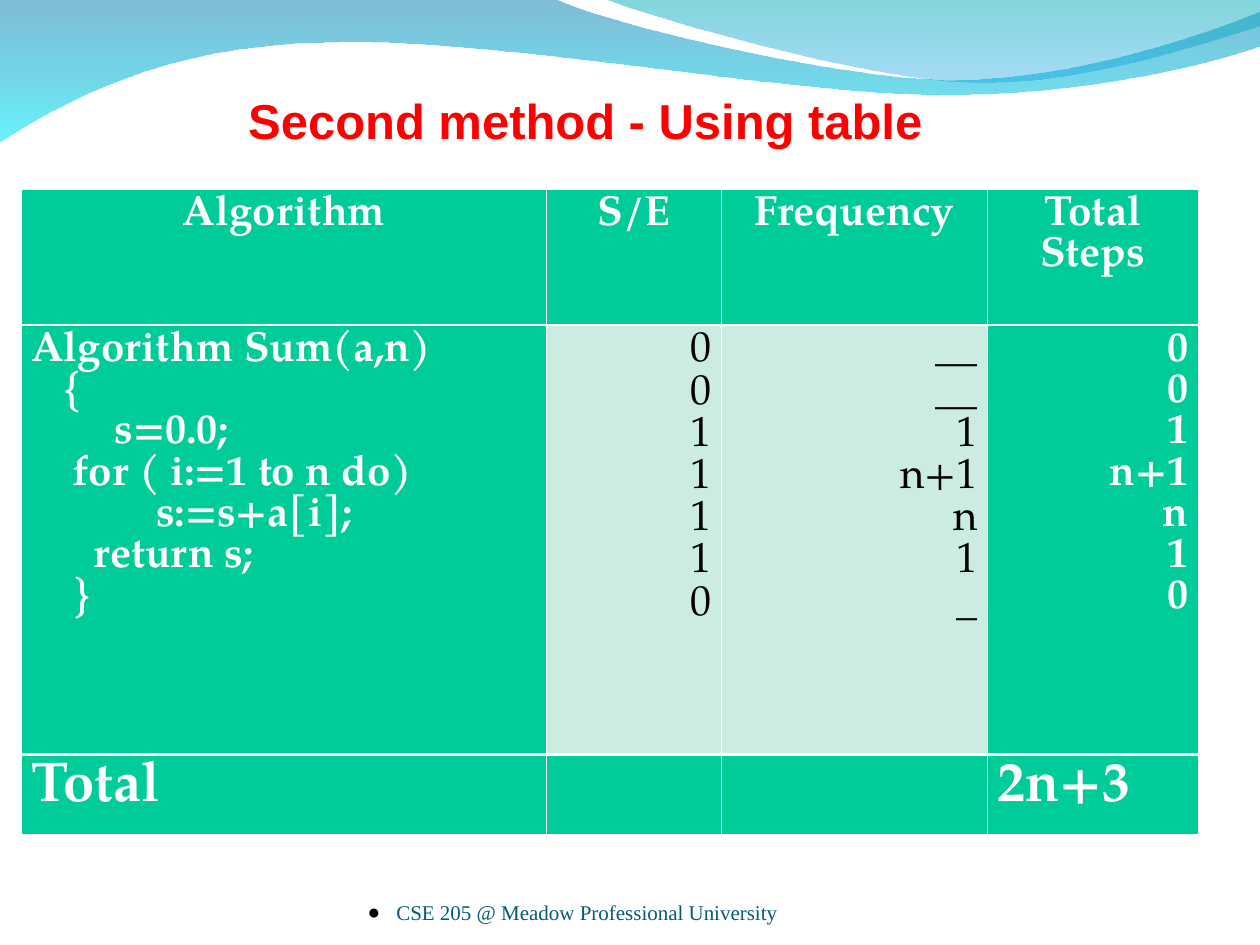
from lxml.etree import SubElement
from pptx import Presentation
from pptx.dml.color import RGBColor
from pptx.enum.text import MSO_ANCHOR, MSO_AUTO_SIZE, PP_ALIGN
from pptx.oxml import parse_xml
from pptx.oxml.ns import nsdecls, qn
from pptx.util import Cm, Pt

WHITE = RGBColor(0xFF, 0xFF, 0xFF)
BLACK = RGBColor(0, 0, 0)
RED = RGBColor(0xFF, 0, 0)
GREEN = RGBColor(0x00, 0xCC, 0x99)
MINT = RGBColor(0xCB, 0xEC, 0xDE)
TEAL = RGBColor(0x04, 0x5C, 0x75)
DEEP_BLUE = RGBColor(0x00, 0x79, 0xAF)
CYAN = RGBColor(0x00, 0xEB, 0xF8)
SEA = RGBColor(0x00, 0xAD, 0xB6)
SKY = RGBColor(0x00, 0x9B, 0xE5)

TITLE = "Second method - Using table"
FOOTER = "CSE 205 @ Meadow Professional University"
HEADERS = ["Algorithm", "S/E", "Frequency", "Total Steps"]
STEPS = [
    (0, "Algorithm Sum(a,n)", "0", "__", "0"),
    (3, "{", "0", "__", "0"),
    (8, "s=0.0;", "1", "1", "1"),
    (4, "for ( i:=1 to n do)", "1", "n+1", "n+1"),
    (12, "s:=s+a[i];", "1", "n", "n"),
    (6, "return s;", "1", "1", "1"),
    (4, "}", "0", "_", "0"),
]
TOTALS = ["Total", "", "", "2n+3"]
COLUMN_WIDTHS = [10.59, 3.52, 5.37, 4.24]
ROW_HEIGHTS = [2.74, 8.66, 1.35]
INDENT_STEP = 0.21
THIN, THICK = 0.45, 1.47

WAVES = [
    ((0, -0.03),
     [[(11.18, -0.03)],
      [(12.09, 0.43), (16.87, 1.6), (19.25, 1.6)],
      [(21.67, 1.6), (24.33, 0.66), (25.4, 0.23)],
      [(25.43, 0.91)],
      [(24.97, 1.12), (22.1, 1.93), (18.95, 1.91)],
      [(15.8, 1.91), (9.7, 0.71), (6.53, 0.86)],
      [(3.28, 0.89), (1.17, 2.11), (-0.03, 2.87)]],
     [(DEEP_BLUE, 50), (CYAN, 60)]),
    ((12.17, -0.03),
     [[(12.93, 0.28), (17.32, 1.57), (19.53, 1.65)],
      [(21.74, 1.75), (24.41, 0.81), (25.4, 0.53)],
      [(25.4, 0)]],
     [(SEA, 50), (SKY, 35)]),
]


def add_wave(page, start, segments, stops):
    ends = [(Cm(x), Cm(y)) for x, y in (segment[-1] for segment in segments)]
    builder = page.shapes.build_freeform(Cm(start[0]), Cm(start[1]))
    builder.add_line_segments(ends, close=True)
    wave = builder.convert_to_shape()
    wave.shadow.inherit = False
    wave.line.fill.background()
    lines = list(wave.element.iter(qn("a:lnTo")))
    for line, segment in zip(lines, segments):
        if len(segment) == 3:
            line.tag = qn("a:cubicBezTo")
            line.clear()
            for x, y in segment:
                SubElement(line, qn("a:pt"), x=str(Cm(x) - wave.left), y=str(Cm(y) - wave.top))
    wave.fill.gradient()
    wave.fill.gradient_angle = 270
    for stop, (color, _) in zip(wave.fill.gradient_stops, stops):
        stop.color.rgb = color
    for color, (_, opacity) in zip(wave.element.spPr.iter(qn("a:srgbClr")), stops):
        SubElement(color, qn("a:alpha"), val=str(opacity * 1000))


def format_text(para, font, size, color, bold=False):
    for span in para.runs:
        span.font.name = font
        span.font.size = Pt(size)
        span.font.color.rgb = color
        span.font.bold = bold


def add_title(page):
    box = page.shapes.title
    box.left, box.top, box.width, box.height = Cm(4.75), Cm(1.7), Cm(14.1), Cm(1.45)
    frame = box.text_frame
    frame.text = TITLE
    frame.word_wrap = False
    frame.auto_size = MSO_AUTO_SIZE.SHAPE_TO_FIT_TEXT
    frame.vertical_anchor = MSO_ANCHOR.TOP
    para = frame.paragraphs[0]
    para.alignment = PP_ALIGN.LEFT
    para.space_before = Pt(5)
    format_text(para, "Arial", 28, RED, True)


def add_footer(page):
    box = page.shapes.add_textbox(Cm(7.41), Cm(17.65), Cm(9.3), Cm(0.99))
    frame = box.text_frame
    frame.text = FOOTER
    frame.word_wrap = True
    frame.vertical_anchor = MSO_ANCHOR.BOTTOM
    frame.margin_left = frame.margin_right = frame.margin_top = frame.margin_bottom = 0
    para = frame.paragraphs[0]
    para.space_before = Pt(3)
    format_text(para, "Times New Roman", 12, TEAL)
    settings = para._p.get_or_add_pPr()
    settings.set("marL", str(Cm(0.58)))
    settings.set("indent", str(-Cm(0.58)))
    bullet_color = SubElement(settings, qn("a:buClr"))
    SubElement(bullet_color, qn("a:srgbClr"), val=str(BLACK))
    SubElement(settings, qn("a:buFont"), typeface="Times New Roman")
    SubElement(settings, qn("a:buChar"), char="●")


def set_borders(cell, top, bottom):
    settings = cell._tc.get_or_add_tcPr()
    sides = [("L", THIN), ("R", THIN), ("T", top), ("B", bottom)]
    for index, (side, width) in enumerate(sides):
        settings.insert(index, parse_xml(
            f'<a:ln{side} {nsdecls("a")} w="{Pt(width)}"><a:solidFill>'
            f'<a:srgbClr val="{WHITE}"/></a:solidFill></a:ln{side}>'))


def add_step_table(page):
    table = page.shapes.add_table(3, 4, Cm(0.43), Cm(3.81), Cm(sum(COLUMN_WIDTHS)),
                                  Cm(sum(ROW_HEIGHTS))).table
    table.first_row = table.horz_banding = False
    for column, width in zip(table.columns, COLUMN_WIDTHS):
        column.width = Cm(width)
    for row, height in zip(table.rows, ROW_HEIGHTS):
        row.height = Cm(height)

    indents, *step_columns = zip(*STEPS)
    contents = [HEADERS, ["\n".join(lines) for lines in step_columns], TOTALS]
    for r, texts in enumerate(contents):
        for c, text in enumerate(texts):
            cell = table.cell(r, c)
            plain = r == 1 and c in (1, 2)
            cell.fill.solid()
            cell.fill.fore_color.rgb = MINT if plain else GREEN
            set_borders(cell, THICK if r else THIN, THIN if r == 2 else THICK)
            cell.margin_left = cell.margin_right = Cm(0.2)
            cell.margin_top = cell.margin_bottom = Cm(0.13)
            cell.text_frame.text = text
            for i, para in enumerate(cell.text_frame.paragraphs):
                format_text(para, "TeX Gyre Pagella", 32 if r == 2 else 24,
                            BLACK if plain else WHITE, not plain)
                if r == 0:
                    para.alignment = PP_ALIGN.CENTER
                    para.space_before, para.space_after = Pt(12), Pt(6)
                elif r == 1 and c > 0:
                    para.alignment = PP_ALIGN.RIGHT
                else:
                    para.alignment = PP_ALIGN.JUSTIFY
                if r == 1 and c == 0:
                    para._p.get_or_add_pPr().set("marL", str(Cm(indents[i] * INDENT_STEP)))


def main():
    deck = Presentation()
    deck.slide_width, deck.slide_height = Cm(25.4), Cm(19.05)
    page = deck.slides.add_slide(deck.slide_layouts[5])
    for start, segments, stops in WAVES:
        add_wave(page, start, segments, stops)
    add_footer(page)
    add_title(page)
    add_step_table(page)
    deck.save("out.pptx")


if __name__ == "__main__":
    main()
